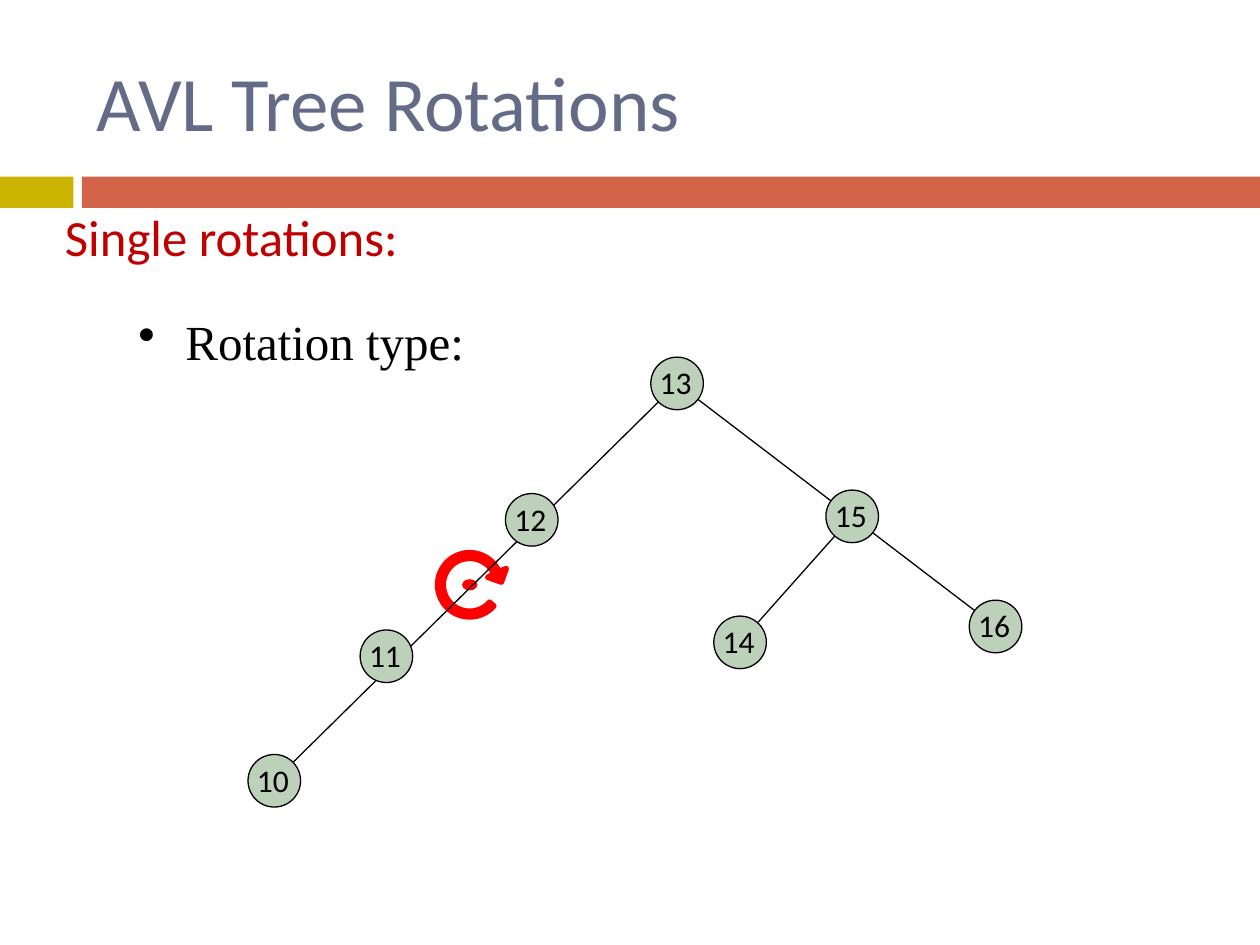
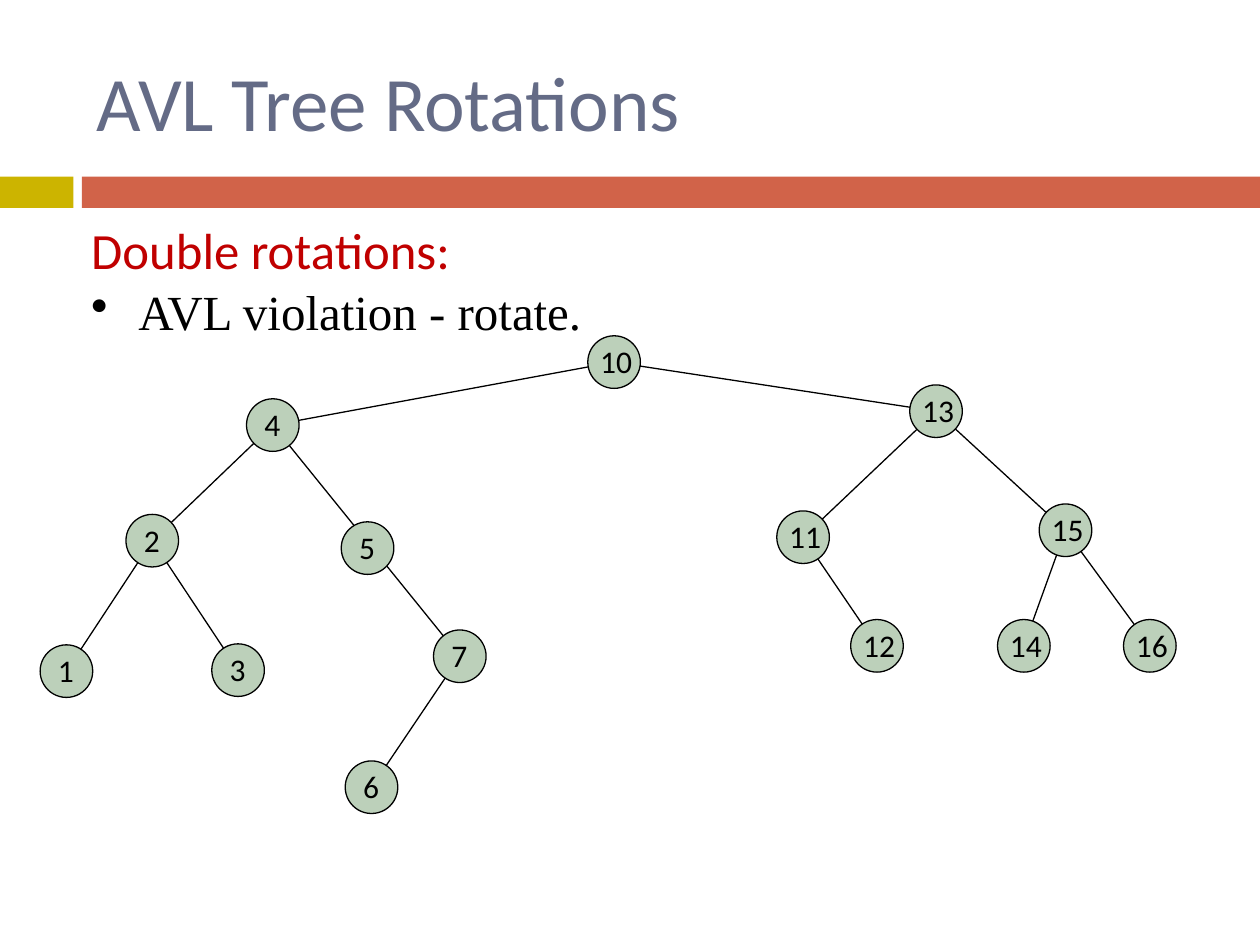
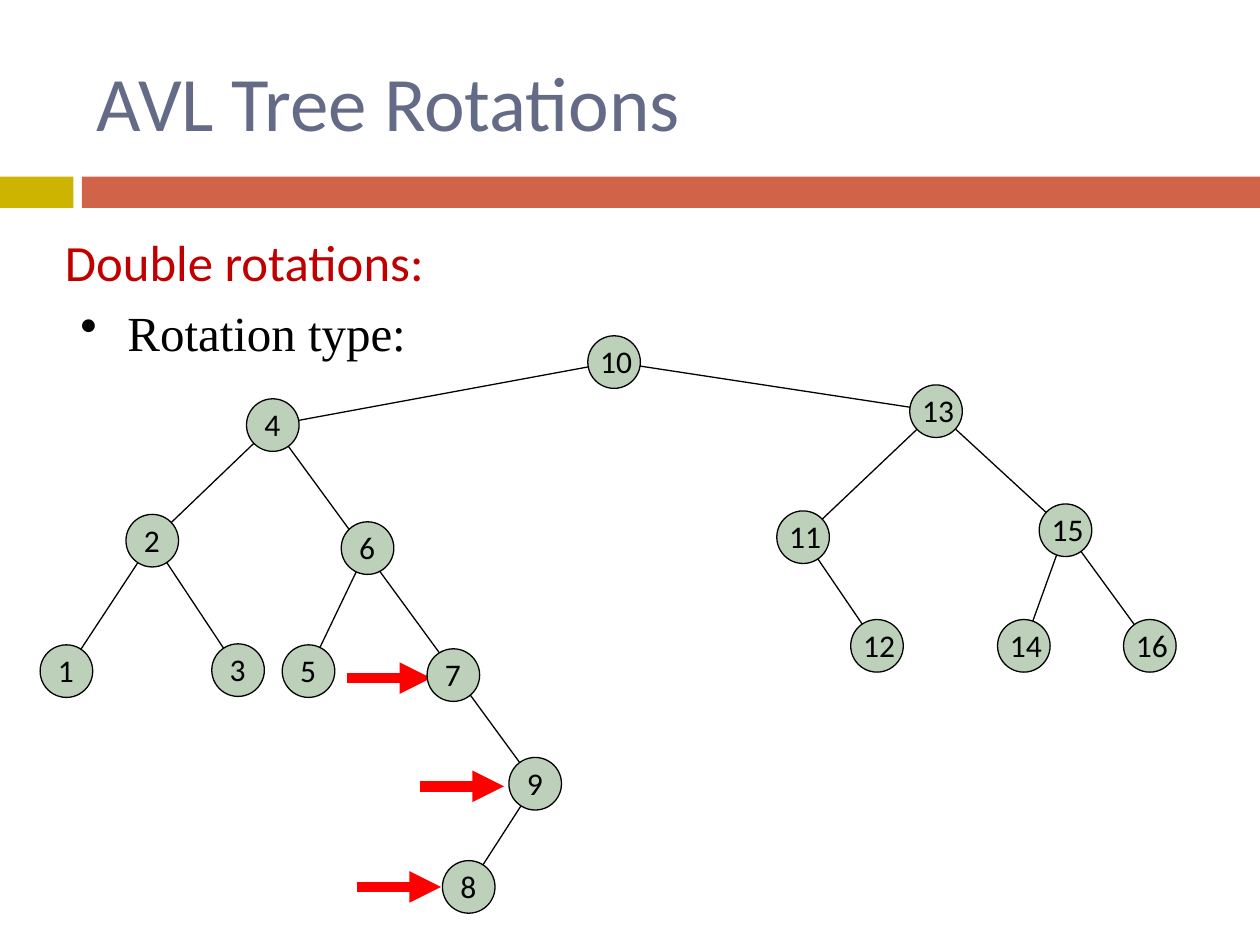
from math import cos, radians, sin

from lxml import etree
from pptx import Presentation
from pptx import util as u
from pptx.dml.color import RGBColor
from pptx.enum import shapes, text
from pptx.oxml.ns import qn

GOLD = RGBColor(0xCC, 0xB4, 0x00)
RUST = RGBColor(0xD1, 0x63, 0x49)
SLATE = RGBColor(0x64, 0x6B, 0x86)
CRIMSON = RGBColor(0xC0, 0x00, 0x00)
RED = RGBColor(0xFF, 0x00, 0x00)
SAGE = RGBColor(0xBC, 0xD0, 0xBA)
BLACK = RGBColor(0x00, 0x00, 0x00)
SANS = "Calibri"
SERIF = "Times New Roman"
NODE = 1.06

CHAIN = {13: (13.65, 7.73), 15: (17.18, 10.41), 16: (20.07, 12.63),
         12: (10.72, 10.48), 14: (14.92, 12.95), 11: (7.79, 13.23),
         10: (5.53, 15.74)}
CHAIN_EDGES = [(15, 14), (10, 13), (13, 16)]

BASE = {10: (12.38, 7.3), 13: (18.87, 8.29), 15: (21.48, 10.69),
        4: (5.5, 8.57), 11: (16.19, 10.83), 2: (3.07, 10.9),
        12: (17.68, 13.02), 14: (20.64, 13.02), 16: (23.18, 13.02),
        3: (4.8, 13.51), 1: (1.34, 13.53)}
BASE_EDGES = [(2, 1), (2, 3), (4, 2), (15, 16), (11, 12), (10, 13),
              (4, 10), (15, 14), (13, 11), (13, 15)]
BEFORE = BASE | {5: (7.41, 11.05), 7: (9.27, 13.23), 6: (7.49, 15.87)}
AFTER = BASE | {6: (7.41, 11.05), 7: (9.14, 13.61), 9: (10.79, 15.8),
                8: (9.45, 17.88), 5: (6.22, 13.53)}


class Deck:
    def __init__(self):
        self.prs = Presentation()
        self.prs.slide_width = u.Cm(25.4)
        self.prs.slide_height = u.Cm(19.05)

    def start(self, title):
        slide = self.prs.slides.add_slide(self.prs.slide_layouts[5])
        self.items = slide.shapes
        head = self.items.title
        head.left, head.top, head.width, head.height = map(
            u.Cm, (1.7, 0.43, 21.59, 3.18))
        head.text_frame.vertical_anchor = text.MSO_ANCHOR.MIDDLE
        self.label(head, title, 44, SLATE)
        rect = shapes.MSO_SHAPE.RECTANGLE
        self.shape(rect, (0, 3.56, 1.48, 0.63), GOLD)
        self.shape(rect, (1.65, 3.56, 23.75, 0.63), RUST)

    def label(self, shape, words, size, color, face=SANS):
        frame = shape.text_frame
        frame.word_wrap = True
        frame.text = words
        para = frame.paragraphs[0]
        para.alignment = text.PP_ALIGN.LEFT
        font = para.runs[0].font
        font.name, font.size, font.color.rgb = face, u.Pt(size), color
        return para

    def text(self, box, *style):
        return self.label(self.items.add_textbox(*map(u.Cm, box)), *style)

    def topic(self, words, x, y):
        self.text((x, y, 11, 1.7), words, 29, CRIMSON)

    def bullet(self, words, x, y):
        para = self.text((x, y, 10.9, 1.7), words, 28, BLACK, SERIF)
        props = para._p.get_or_add_pPr()
        props.set("marL", str(u.Cm(0.95)))
        props.set("indent", str(u.Cm(-0.95)))
        etree.SubElement(props, qn("a:buChar"), char="•")

    def paint(self, shape, fill, line=None, width=0.75):
        shape.shadow.inherit = False
        shape.fill.solid()
        shape.fill.fore_color.rgb = fill
        if line is None:
            shape.line.fill.background()
        else:
            shape.line.color.rgb = line
            shape.line.width = u.Pt(width)

    def shape(self, kind, box, fill, line=None):
        self.paint(self.items.add_shape(kind, *map(u.Cm, box)), fill, line)

    def oval(self, x, y, wide, high, fill, line):
        box = (x - wide / 2, y - high / 2, wide, high)
        self.shape(shapes.MSO_SHAPE.OVAL, box, fill, line)

    def line(self, begin, end, color=BLACK, width=0.75):
        link = self.items.add_connector(
            shapes.MSO_CONNECTOR.STRAIGHT, *map(u.Cm, begin + end))
        link.line.color.rgb = color
        link.line.width = u.Pt(width)
        props = link._element.spPr
        etree.SubElement(props, qn("a:effectLst"))
        return props.find(qn("a:ln"))

    def arrow(self, x, y):
        stroke = self.line((x, y), (x + 1.7, y), RED, 6)
        etree.SubElement(stroke, qn("a:tailEnd"), type="triangle")

    def spin(self, x, y):
        turn = [radians(a) for a in range(41, 336, 6)]
        outer = [(0.65 * cos(a), 0.65 * sin(a)) for a in turn]
        inner = [(0.53 * cos(a), 0.53 * sin(a)) for a in reversed(turn)]
        tip = [(0.74, -0.33), (0.64, -0.05), (0.36, -0.15)]
        dots = [(u.Cm(x + a), u.Cm(y + b)) for a, b in outer + tip + inner]
        pen = self.items.build_freeform(*dots[0])
        pen.add_line_segments(dots[1:])
        self.paint(pen.convert_to_shape(), RED, RED, 3)
        self.oval(x, y, 0.28, 0.2, RED, RED)

    def tree(self, nodes, edges, shift=0):
        for top, low in edges:
            self.line(nodes[top], nodes[low])
        for key, (x, y) in nodes.items():
            self.oval(x, y, NODE, NODE, SAGE, BLACK)
            left = x - (0.53 if key > 9 else 0.42) + shift
            self.text((left, y - NODE / 2, 1.27, 1.02), str(key), 18, BLACK)


def main():
    deck = Deck()
    name = "AVL Tree Rotations"

    deck.start(name)
    deck.topic("Single rotations:", 1.06, 4.02)
    deck.spin(9.47, 11.79)
    deck.bullet("Rotation type:", 2.54, 6.15)
    deck.tree(CHAIN, CHAIN_EDGES, -0.07)

    deck.start(name)
    deck.topic("Double rotations:", 1.59, 4.29)
    deck.bullet("AVL violation - rotate.", 1.59, 5.56)
    deck.tree(BEFORE, BASE_EDGES + [(7, 6), (4, 7)])

    deck.start(name)
    deck.topic("Double rotations:", 1.06, 4.52)
    deck.bullet("Rotation type:", 1.37, 5.98)
    for x, y in [(6.99, 13.67), (8.46, 15.85), (7.19, 17.88)]:
        deck.arrow(x, y)
    deck.tree(AFTER, BASE_EDGES + [(6, 5), (9, 8), (4, 9)])

    deck.prs.save("out.pptx")


if __name__ == "__main__":
    main()
